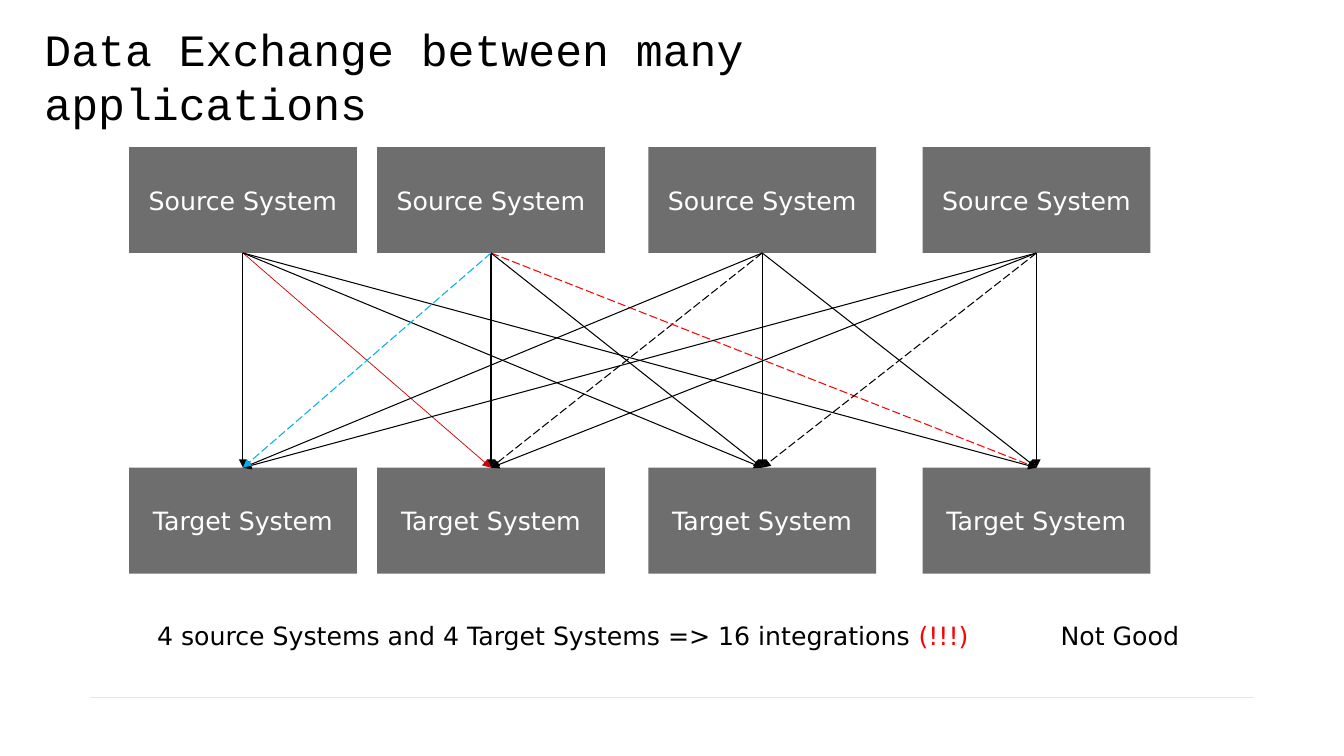
from lxml.etree import SubElement
from pptx import Presentation
from pptx.dml.color import RGBColor
from pptx.enum.dml import MSO_LINE
from pptx.enum.shapes import MSO_CONNECTOR, MSO_SHAPE
from pptx.enum.text import MSO_ANCHOR, MSO_AUTO_SIZE, PP_ALIGN
from pptx.oxml.ns import qn
from pptx.util import Inches, Pt

BLACK, WHITE, GREY, PALE = "000000", "FFFFFF", "6E6E6E", "E6E6E6"
RED, DARK_RED, BLUE = "FF0000", "CC0000", "00B0F0"
SYSTEM_LEFTS = (1.28, 3.74, 6.43, 9.15)
SOURCE_TOP, TARGET_TOP = 1.46, 4.64
BOTTOM_SITE, TOP_SITE = 2, 0
CROSSINGS = [(0, 1), (2, 1), (1, 3), (1, 2), (2, 3), (3, 2),
             (3, 1), (2, 0), (0, 2), (0, 3), (3, 0), (1, 0)]
LINK_STYLES = {
    (0, 1): {"color": DARK_RED, "width": 0.5},
    (2, 1): {"dashed": True},
    (1, 3): {"color": RED, "dashed": True},
    (3, 2): {"dashed": True},
    (1, 0): {"color": BLUE, "dashed": True},
}


def rgb(value):
    """Turn a hex string into a colour."""
    return RGBColor.from_string(value)


class SlideBuilder:
    """Hold the text style and the slide, and add elements to it."""

    body_font, title_font = "DejaVu Sans", "Courier New"
    body_size, title_size = 18, 32

    def __init__(self, presentation):
        """Add a title-only slide."""
        self.slide = presentation.slides.add_slide(presentation.slide_layouts[5])
        self.shapes = self.slide.shapes

    def format_run(self, run, color, font=body_font, size=body_size):
        """Set the font, size and colour of a run."""
        run.font.name = font
        run.font.size = Pt(size)
        run.font.color.rgb = rgb(color)

    def title(self, text, left, top, width, height):
        """Place and format the title."""
        title = self.shapes.title
        title.left, title.top = Inches(left), Inches(top)
        title.width, title.height = Inches(width), Inches(height)
        frame = title.text_frame
        frame.text = text
        frame.word_wrap = True
        frame.auto_size = MSO_AUTO_SIZE.NONE
        frame.vertical_anchor = MSO_ANCHOR.TOP
        paragraph = frame.paragraphs[0]
        paragraph.alignment = PP_ALIGN.LEFT
        self.format_run(paragraph.runs[0], BLACK, self.title_font, self.title_size)

    def system(self, text, left, top):
        """Add a labelled system box."""
        shape = self.shapes.add_shape(MSO_SHAPE.RECTANGLE, Inches(left), Inches(top),
                                      Inches(2.26), Inches(1.05))
        shape.shadow.inherit = False
        shape.fill.solid()
        shape.fill.fore_color.rgb = rgb(GREY)
        shape.line.fill.background()
        frame = shape.text_frame
        frame.text = text
        frame.vertical_anchor = MSO_ANCHOR.MIDDLE
        frame.paragraphs[0].alignment = PP_ALIGN.CENTER
        self.format_run(frame.paragraphs[0].runs[0], WHITE)
        return shape

    def line(self, left, top, right, bottom, color=BLACK, width=0.75):
        """Add a plain straight line."""
        connector = self.shapes.add_connector(MSO_CONNECTOR.STRAIGHT, Inches(left), Inches(top),
                                              Inches(right), Inches(bottom))
        connector.line.color.rgb = rgb(color)
        connector.line.width = Pt(width)
        SubElement(connector._element.spPr, qn("a:effectLst"))
        return connector

    def arrow(self, source, target, color=BLACK, width=0.75, dashed=False):
        """Join a source box to a target box with an arrow."""
        connector = self.line(0, 0, 1, 1, color, width)
        connector.begin_connect(source, BOTTOM_SITE)
        connector.end_connect(target, TOP_SITE)
        if dashed:
            connector.line.dash_style = MSO_LINE.LONG_DASH
        SubElement(connector.line._get_or_add_ln(), qn("a:tailEnd"), type="triangle")

    def note(self, parts, left, top, width, height):
        """Add a one-line text box of coloured parts."""
        box = self.shapes.add_textbox(Inches(left), Inches(top), Inches(width), Inches(height))
        box.text_frame.word_wrap = False
        for text, color in parts:
            run = box.text_frame.paragraphs[0].add_run()
            run.text = text
            self.format_run(run, color)


def main():
    """Build and save the slide."""
    presentation = Presentation()
    presentation.slide_width, presentation.slide_height = Inches(13.33), Inches(7.5)
    builder = SlideBuilder(presentation)
    builder.line(0.89, 6.92, 12.44, 6.92, PALE, 0.25)
    builder.title("Data Exchange between many applications", 0.34, 0.17, 10.09, 1.15)
    sources = [builder.system("Source System", left, SOURCE_TOP) for left in SYSTEM_LEFTS]
    targets = [builder.system("Target System", left, TARGET_TOP) for left in SYSTEM_LEFTS]
    straight = [(index, index) for index in range(len(SYSTEM_LEFTS))]
    for link in straight + CROSSINGS:
        source, target = link
        builder.arrow(sources[source], targets[target], **LINK_STYLES.get(link, {}))
    builder.note([("4 source Systems and 4 Target Systems => 16 integrations ", BLACK),
                  ("(!!!)", RED)], 1.46, 6.1, 8.54, 0.4)
    builder.note([("Not Good", BLACK)], 10.42, 6.1, 1.39, 0.4)
    presentation.save("out.pptx")


if __name__ == "__main__":
    main()
